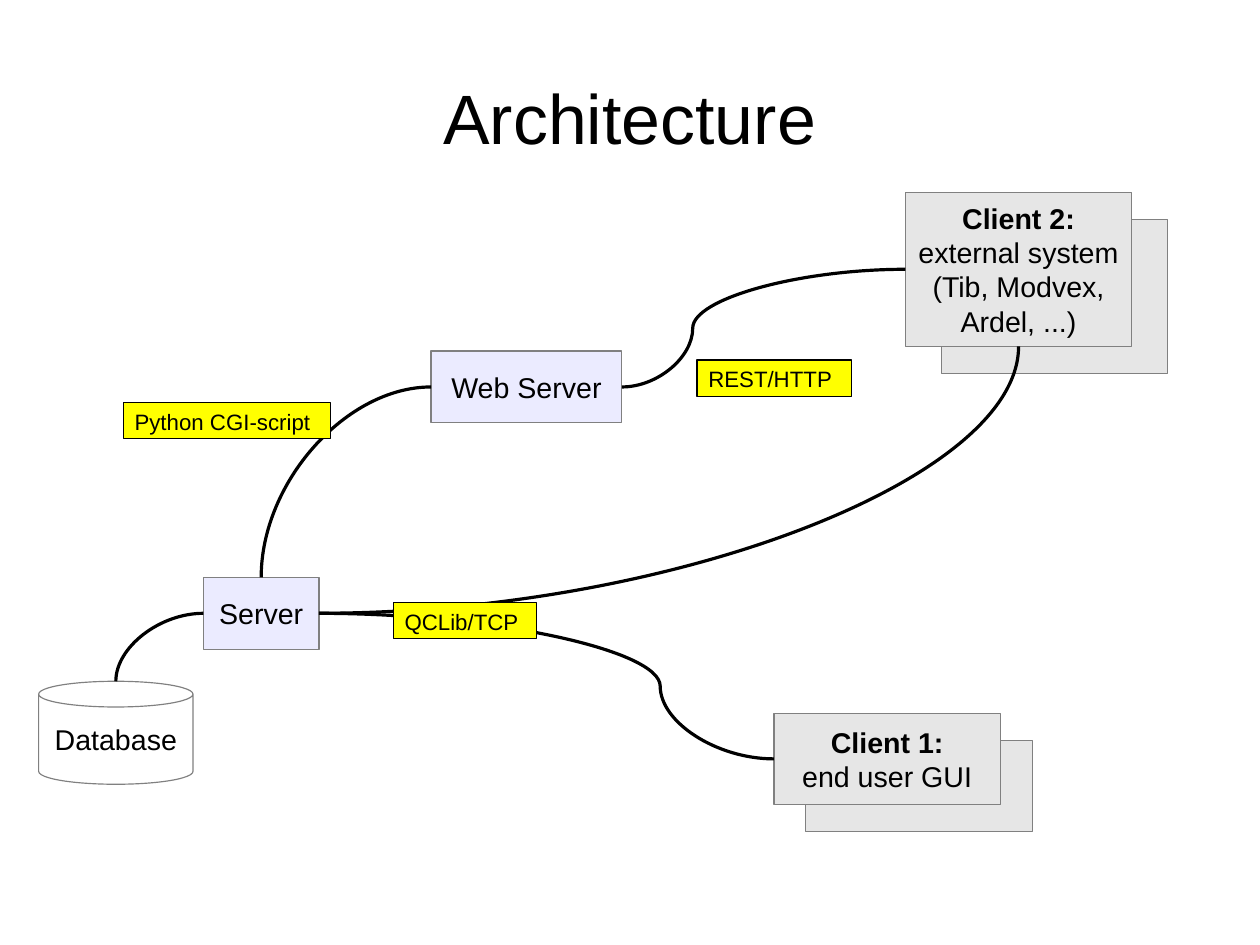
from lxml.etree import SubElement
from pptx import Presentation
from pptx.dml.color import RGBColor
from pptx.enum.shapes import MSO_CONNECTOR as Line, MSO_SHAPE as Preset
from pptx.enum.text import MSO_ANCHOR as Anchor, PP_ALIGN as Align
from pptx.oxml.ns import qn
from pptx.util import Cm, Pt

BLACK = RGBColor(0x00, 0x00, 0x00)
WHITE = RGBColor(0xFF, 0xFF, 0xFF)
GRAY = RGBColor(0x80, 0x80, 0x80)
CLIENT_GRAY = RGBColor(0xE6, 0xE6, 0xE6)
SERVER_BLUE = RGBColor(0xEB, 0xEB, 0xFF)
LABEL_YELLOW = RGBColor(0xFF, 0xFF, 0x00)

# Connection sites of a rectangle; a can has its outer top at site 1
TOP, LEFT, BOTTOM, RIGHT = range(4)
CAN_TOP = 1


class Diagram:
    font = "Arial"
    hairline = Pt(0)

    def __init__(self, slide):
        self.slide = slide

    def add_text(self, frame, lines, size, align, bold_first=False):
        for index, line in enumerate(lines):
            paragraph = frame.paragraphs[0] if index == 0 else frame.add_paragraph()
            paragraph.alignment = align
            run = paragraph.add_run()
            run.text = line
            run.font.name = self.font
            run.font.size = Pt(size)
            run.font.bold = bold_first and index == 0
            run.font.color.rgb = BLACK

    def title(self, text, left, top, width, height):
        heading = self.slide.shapes.title
        heading.left, heading.top = Cm(left), Cm(top)
        heading.width, heading.height = Cm(width), Cm(height)
        frame = heading.text_frame
        frame.margin_left = frame.margin_right = 0
        frame.margin_top = frame.margin_bottom = 0
        frame.vertical_anchor = Anchor.MIDDLE
        self.add_text(frame, [text], 44, Align.CENTER)

    def box(self, left, top, width, height, fill, outline=GRAY,
            preset=Preset.RECTANGLE):
        shape = self.slide.shapes.add_shape(
            preset, Cm(left), Cm(top), Cm(width), Cm(height))
        shape.shadow.inherit = False
        shape.fill.solid()
        shape.fill.fore_color.rgb = fill
        shape.line.color.rgb = outline
        shape.line.width = self.hairline
        return shape

    def node(self, lines, *place, bold_first=False, **look):
        shape = self.box(*place, **look)
        frame = shape.text_frame
        frame.word_wrap = False
        frame.vertical_anchor = Anchor.MIDDLE
        self.add_text(frame, lines, 18, Align.CENTER, bold_first)
        return shape

    def client(self, lines, left, top, width, height, shift):
        self.box(left + shift, top + 0.6, width, height, CLIENT_GRAY)
        return self.node(lines, left, top, width, height,
                         fill=CLIENT_GRAY, bold_first=True)

    def label(self, text, left, top, width):
        shape = self.box(left, top, width, 0.81, LABEL_YELLOW, BLACK)
        frame = shape.text_frame
        frame.word_wrap = True
        frame.vertical_anchor = Anchor.TOP
        self.add_text(frame, [text], 14, Align.LEFT)

    def curve(self, start, start_site, end, end_site):
        connector = self.slide.shapes.add_connector(Line.CURVE, 0, 0, 0, 0)
        connector.begin_connect(start, start_site)
        connector.end_connect(end, end_site)
        connector.line.color.rgb = BLACK
        connector.line.width = self.hairline
        properties = connector._element.spPr
        SubElement(properties, qn("a:effectLst"))
        return connector, properties.find(qn("a:prstGeom"))

    def arc(self, start, start_site, end, end_site):
        """Quarter curve from a side of one node to the top or bottom of another."""
        connector, geometry = self.curve(start, start_site, end, end_site)
        geometry.set("prst", "curvedConnector2")
        connector.end_x = end.left + end.width // 2
        connector.end_y = end.top + (end.height if end_site == BOTTOM else 0)

    def wave(self, start, start_site, end, end_site):
        """S-curve between two sides, bending a quarter of the way along."""
        _, geometry = self.curve(start, start_site, end, end_site)
        guides = geometry.find(qn("a:avLst"))
        if guides is None:
            guides = SubElement(geometry, qn("a:avLst"))
        SubElement(guides, qn("a:gd"), name="adj1", fmla="val 25000")


deck = Presentation()
deck.slide_width, deck.slide_height = Cm(28), Cm(21)
diagram = Diagram(deck.slides.add_slide(deck.slide_layouts[5]))
diagram.title("Architecture", 1.4, 0.84, 25.2, 3.5)

# Clients, each with a second card behind it
gui_client = diagram.client(
    ["Client 1:", "end user GUI"], 17.2, 15.85, 5.03, 2.03, shift=0.71)
external_client = diagram.client(
    ["Client 2:", "external system", "(Tib, Modvex,", "Ardel, ...)"],
    20.12, 4.27, 5.03, 3.43, shift=0.8)

# Servers and storage
server = diagram.node(["Server"], 4.52, 12.83, 2.57, 1.6, fill=SERVER_BLUE)
web_server = diagram.node(["Web Server"], 9.58, 7.8, 4.24, 1.6, fill=SERVER_BLUE)
database = diagram.node(["Database"], 0.86, 15.14, 3.43, 2.29,
                        fill=WHITE, preset=Preset.CAN)

# Connections
diagram.arc(server, LEFT, database, CAN_TOP)
diagram.arc(web_server, LEFT, server, TOP)
diagram.arc(server, RIGHT, external_client, BOTTOM)
diagram.wave(gui_client, LEFT, server, RIGHT)
diagram.wave(web_server, RIGHT, external_client, LEFT)

# Protocol labels
for protocol, left, top, width in [
    ("Python CGI-script", 2.74, 8.94, 4.6),
    ("REST/HTTP", 15.49, 8, 3.43),
    ("QCLib/TCP", 8.74, 13.39, 3.18),
]:
    diagram.label(protocol, left, top, width)

deck.save("out.pptx")
